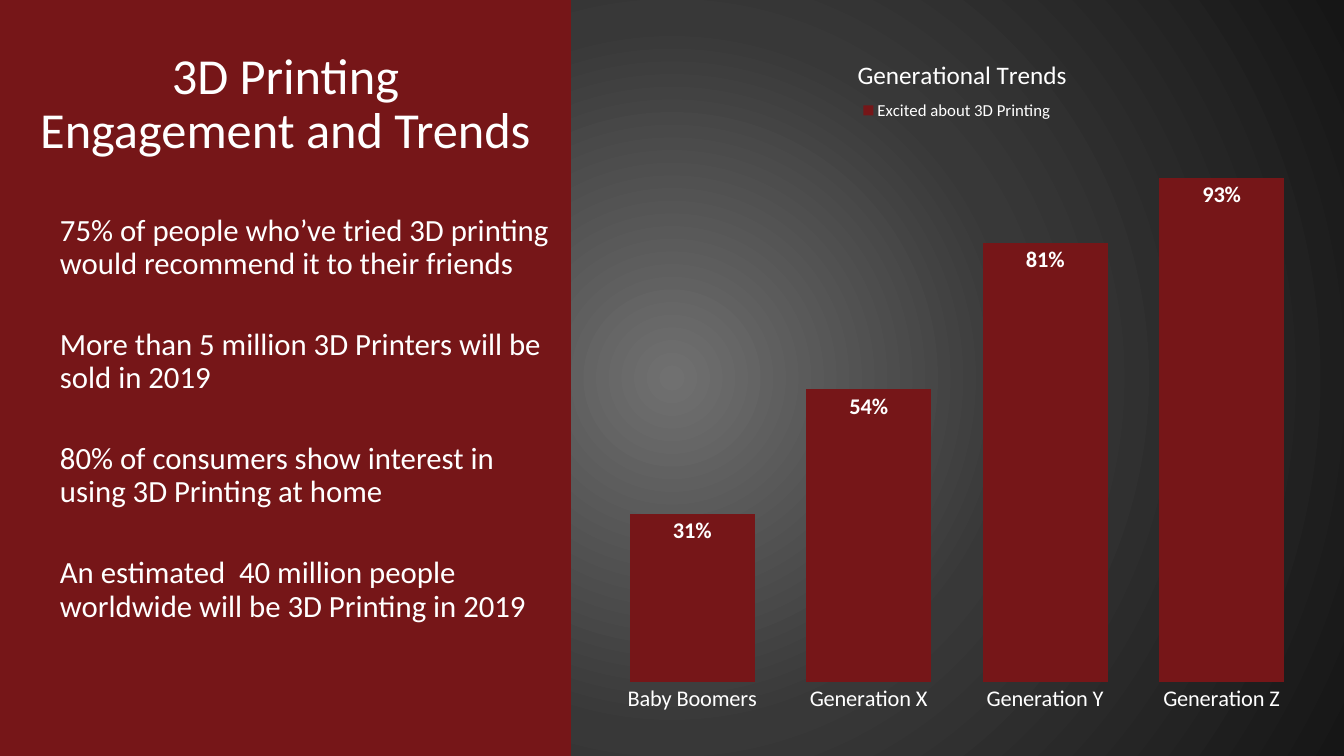
from lxml import etree
from pptx import Presentation
from pptx.chart.data import CategoryChartData
from pptx.dml.color import RGBColor
from pptx.enum.chart import XL_CHART_TYPE, XL_LABEL_POSITION, XL_LEGEND_POSITION, XL_TICK_MARK
from pptx.enum.text import MSO_ANCHOR, MSO_AUTO_SIZE, PP_ALIGN
from pptx.oxml import parse_xml
from pptx.oxml.ns import nsdecls, qn
from pptx.util import Emu, Pt

RED, WHITE = "761618", "FFFFFF"
PX = 12192000 / 1344
CHART_X, CHART_Y, CHART_W, CHART_H = 590, 25, 735, 703
PANEL_W, TITLE_H, SLIDE_H = 571, 210, 756


def px(n):
    return Emu(round(n * PX))


def place(part, index, x, y, w=None, h=None, inner=False):
    """Fix a chart part at slide pixels, with its c:layout as child number index."""
    for old in part.findall(qn("c:layout")):
        part.remove(old)
    layout = etree.Element(qn("c:layout"))
    part.insert(index, layout)
    manual = etree.SubElement(layout, qn("c:manualLayout"))
    values = [("layoutTarget", "inner")] if inner else []
    values += [("xMode", "edge"), ("yMode", "edge"),
               ("x", (x - CHART_X) / CHART_W), ("y", (y - CHART_Y) / CHART_H)]
    if w:
        values += [("w", w / CHART_W), ("h", h / CHART_H)]
    for tag, value in values:
        text = value if isinstance(value, str) else f"{value:.4f}"
        etree.SubElement(manual, qn(f"c:{tag}")).set("val", text)


prs = Presentation()
prs.slide_width, prs.slide_height = px(1344), px(SLIDE_H)
s = prs.slides.add_slide(prs.slide_layouts[5])

# Radial background
stops = "".join(f'<a:gs pos="{pos}000"><a:srgbClr val="{color}"/></a:gs>'
                for pos, color in [(0, "707070"), (46, "383838"), (100, "161616")])
s.background.fill.solid()
bg_pr = s.background.fill._xPr
bg_pr.replace(bg_pr[0], parse_xml(
    f'<a:gradFill {nsdecls("a")} rotWithShape="1"><a:gsLst>{stops}</a:gsLst>'
    '<a:path path="circle"><a:fillToRect l="50000" t="50000" r="50000" b="50000"/>'
    '</a:path></a:gradFill>'))

# Left panel: title and statements
title = s.shapes.title
title.left, title.top, title.width, title.height = px(0), px(0), px(PANEL_W), px(TITLE_H)
title.text_frame.text = "3D Printing\vEngagement and Trends"
title.text_frame.vertical_anchor = MSO_ANCHOR.MIDDLE
title.text_frame.paragraphs[0].alignment = PP_ALIGN.CENTER

body = s.shapes.add_textbox(px(0), px(TITLE_H), px(PANEL_W), px(SLIDE_H - TITLE_H))
body.text_frame.text = "\n".join([
    "75% of people who’ve tried 3D printing would recommend it to their friends",
    "More than 5 million 3D Printers will be sold in 2019",
    "80% of consumers show interest in using 3D Printing at home",
    "An estimated  40 million people worldwide will be 3D Printing in 2019",
])
body.text_frame.margin_left = px(60)
for p in body.text_frame.paragraphs[1:]:
    p.space_before = Pt(34)

for shape, size in [(title, 36), (body, 22)]:
    shape.fill.solid()
    shape.fill.fore_color.rgb = RGBColor.from_string(RED)
    tf = shape.text_frame
    tf.word_wrap = True
    tf.auto_size = MSO_AUTO_SIZE.NONE
    for p in tf.paragraphs:
        p.line_spacing = 0.9
        for r in p.runs:
            r.font.name, r.font.size = "Calibri", Pt(size)
            r.font.color.rgb = RGBColor.from_string(WHITE)

# Column chart
data = CategoryChartData(number_format="0%")
data.categories = ["Baby Boomers", "Generation X", "Generation Y", "Generation Z"]
data.add_series("Excited about 3D Printing", [0.31, 0.54, 0.81, 0.93])
chart = s.shapes.add_chart(XL_CHART_TYPE.COLUMN_CLUSTERED, px(CHART_X), px(CHART_Y),
                           px(CHART_W), px(CHART_H), data).chart
chart.has_title = True
chart.chart_title.text_frame.text = "Generational Trends"
chart.has_legend = True
legend = chart.legend
legend.position = XL_LEGEND_POSITION.TOP
legend.include_in_layout = False

cat_axis, val_axis = chart.category_axis, chart.value_axis
cat_axis.major_tick_mark = XL_TICK_MARK.NONE
cat_axis.format.line.fill.background()
val_axis.minimum_scale, val_axis.maximum_scale = 0, 1
val_axis.has_major_gridlines = False
val_axis.visible = False

plot = chart.plots[0]
plot.gap_width = 41
plot.vary_by_categories = False
fill = plot.series[0].format.fill
fill.solid()
fill.fore_color.rgb = RGBColor.from_string(RED)
labels = plot.series[0].data_labels
labels.show_value = True
labels.position = XL_LABEL_POSITION.INSIDE_END
labels.number_format, labels.number_format_is_linked = "0%", False

title_font = chart.chart_title.text_frame.paragraphs[0].runs[0].font
for font, size, bold in [(chart.font, 10, False), (title_font, 18, False),
                         (legend.font, 12, False), (cat_axis.tick_labels.font, 16, False),
                         (labels.font, 16, True)]:
    font.name, font.size, font.bold = "Calibri", Pt(size), bold
    font.color.rgb = RGBColor.from_string(WHITE)

chart_xml = chart._chartSpace.find(qn("c:chart"))
place(chart_xml.find(qn("c:plotArea")), 0, 604, 140, 706, 542, inner=True)
place(chart_xml.find(qn("c:title")), 1, 853, 53)
place(chart_xml.find(qn("c:legend")), 1, 858, 98, 198, 25)

prs.save("out.pptx")
